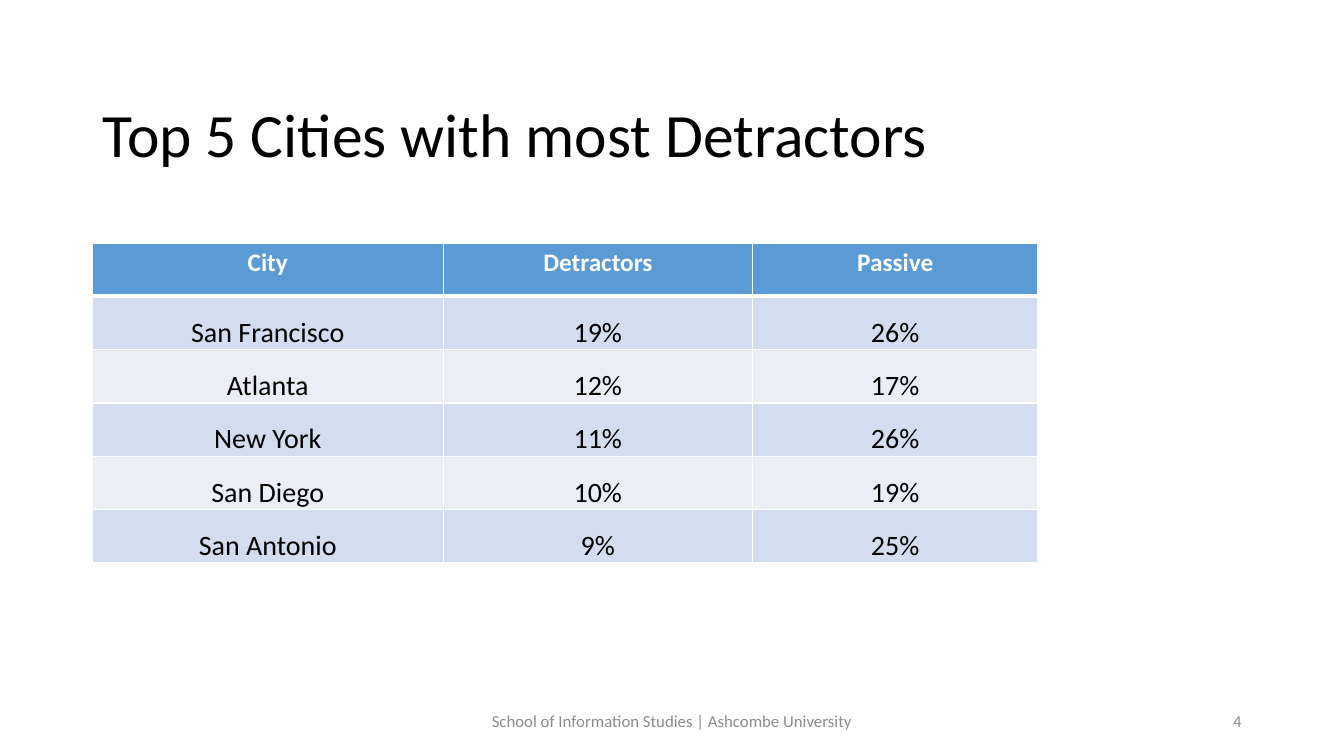
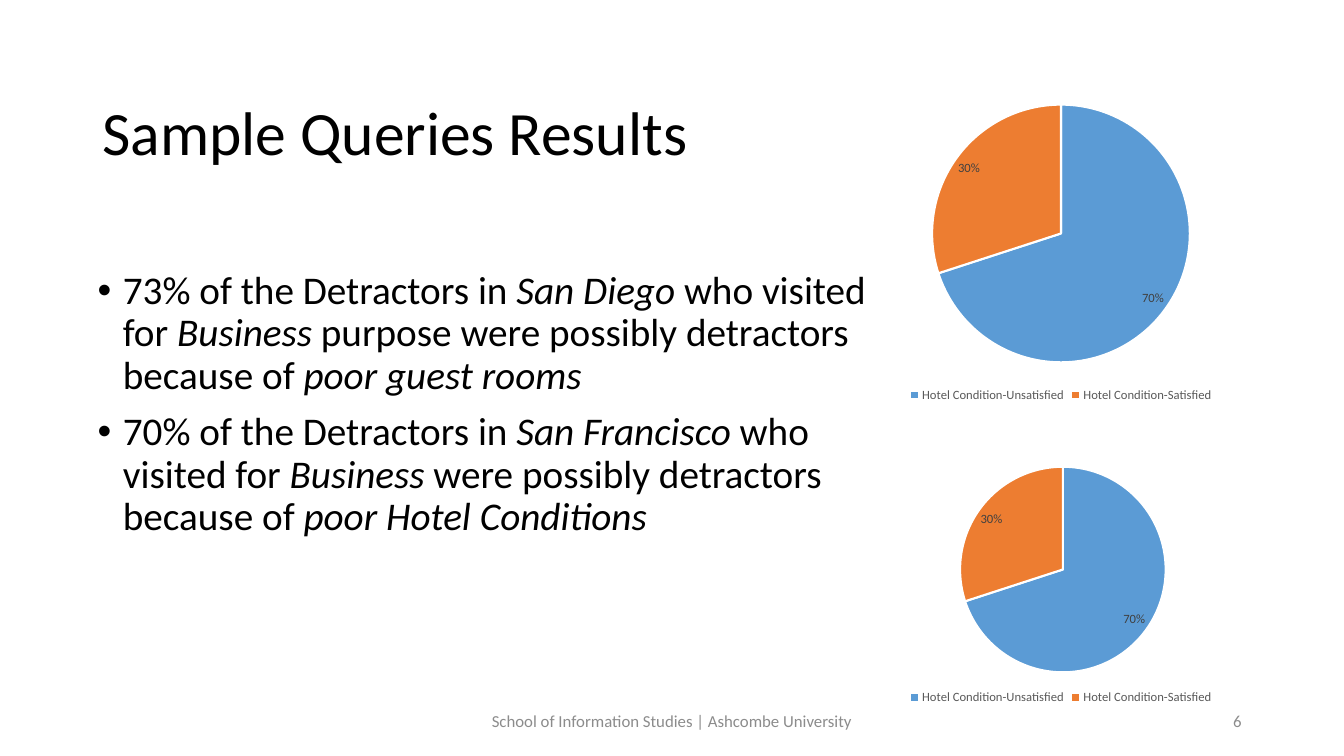
import pptx
import pptx.chart.data
import pptx.dml.color
import pptx.enum.chart
import pptx.enum.text
import pptx.oxml
import pptx.oxml.ns
import pptx.util

Pt = pptx.util.Pt
ALIGN = pptx.enum.text.PP_ALIGN
ANCHOR = pptx.enum.text.MSO_ANCHOR
qn = pptx.oxml.ns.qn

FONT = "Calibri"
COLORS = {
    "text": "000000", "footer": "8C8C8C", "white": "FFFFFF",
    "header": "5B9BD5", "band_dark": "D2DEEF", "band_light": "EAEFF7",
    "unsatisfied": "5B9BD5", "satisfied": "ED7D31",
    "legend": "595959", "label": "404040",
}
FOOTER = "School of Information Studies | Ashcombe University"


def rgb(name):
    return pptx.dml.color.RGBColor.from_string(COLORS[name])


def style_font(font, size, color, bold=None, italic=None):
    font.name, font.size = FONT, Pt(size)
    font.color.rgb = rgb(color)
    font.bold, font.italic = bold, italic


def place(shape, box):
    shape.left, shape.top, shape.width, shape.height = (Pt(v) for v in box)


# Shared parts
def add_title(s, text, box):
    place(s.shapes.title, box)
    tf = s.shapes.title.text_frame
    tf.text = text
    tf.vertical_anchor = ANCHOR.MIDDLE
    tf.auto_size = pptx.enum.text.MSO_AUTO_SIZE.NONE
    p = tf.paragraphs[0]
    p.alignment, p.line_spacing = ALIGN.LEFT, 0.9
    style_font(p.runs[0].font, 44, "text")


def add_footer(s, number):
    for text, left, width, align in ((FOOTER, 318, 324, ALIGN.CENTER),
                                     (number, 678, 216, ALIGN.RIGHT)):
        sp = s.shapes.add_textbox(Pt(left), Pt(500.4), Pt(width), Pt(28.8))
        tf = sp.text_frame
        tf.word_wrap = True
        tf.vertical_anchor = ANCHOR.MIDDLE
        tf.text = text
        p = tf.paragraphs[0]
        p.alignment = align
        style_font(p.runs[0].font, 12, "footer")


def new_slide(prs, layout, title, title_top, number):
    s = prs.slides.add_slide(prs.slide_layouts[layout])
    add_footer(s, number)
    add_title(s, title, (66, title_top, 828, 104.4))
    return s


# Table
def set_borders(cell, widths):
    tcPr = cell._tc.get_or_add_tcPr()
    for side, width in zip("LRTB", widths):
        ln = pptx.oxml.parse_xml(
            f'<a:ln{side} {pptx.oxml.ns.nsdecls("a")} w="{Pt(width)}"><a:solidFill>'
            f'<a:srgbClr val="{COLORS["white"]}"/></a:solidFill></a:ln{side}>')
        tcPr.append(ln)


def fill_cell(cell, text, row):
    header = row == 0
    set_borders(cell, (1, 1, 3 if row == 1 else 1, 3 if header else 1))
    cell.fill.solid()
    cell.fill.fore_color.rgb = rgb(
        "header" if header else "band_dark" if row % 2 else "band_light")
    if not header:
        cell.vertical_anchor = ANCHOR.BOTTOM
        cell.margin_left = cell.margin_right = cell.margin_top = Pt(0.7)
        cell.margin_bottom = Pt(0)
    cell.text_frame.text = text
    p = cell.text_frame.paragraphs[0]
    p.alignment = ALIGN.CENTER
    style_font(p.runs[0].font, 18 if header else 20,
               "white" if header else "text", bold=header)


def add_city_table(s, rows, box, col_shares):
    left, top, width, height = box
    table = s.shapes.add_table(len(rows), len(col_shares), Pt(left), Pt(top),
                               Pt(width), Pt(height)).table
    for col, share in zip(table.columns, col_shares):
        col.width = Pt(width * share / sum(col_shares))
    for i, values in enumerate(rows):
        table.rows[i].height = Pt(height / len(rows))
        for j, text in enumerate(values):
            fill_cell(table.cell(i, j), text, i)


# Bullets: text between asterisks is italic
def add_bullets(s, items, box):
    body = s.placeholders[1]
    place(body, box)
    tf = body.text_frame
    tf.auto_size = pptx.enum.text.MSO_AUTO_SIZE.NONE
    tf.vertical_anchor = ANCHOR.TOP
    tf.margin_top = Pt(44.4)
    for i, item in enumerate(items):
        p = tf.add_paragraph() if i else tf.paragraphs[0]
        p.line_spacing = 0.9
        p.space_before = Pt(10 if i else 0)
        pPr = p._p.get_or_add_pPr()
        pPr.set("marL", str(Pt(18)))
        pPr.set("indent", str(-Pt(18)))
        for tag, key, value in (("buFont", "typeface", "Arial"),
                                ("buChar", "char", "•")):
            pPr.append(pptx.oxml.parse_xml(
                f'<a:{tag} {pptx.oxml.ns.nsdecls("a")} {key}="{value}"/>'))
        for k, part in enumerate(item.split("*")):
            if part:
                r = p.add_run()
                r.text = part
                style_font(r.font, 28, "text", italic=bool(k % 2))


# Pie charts
def set_plot_layout(chart, plot_box):
    plot_area = chart._chartSpace.find(".//" + qn("c:plotArea"))
    for old in plot_area.findall(qn("c:layout")):
        plot_area.remove(old)
    sizes = "".join(f'<c:{tag} val="{v}"/>' for tag, v in zip("xywh", plot_box))
    plot_area.insert(0, pptx.oxml.parse_xml(
        f'<c:layout {pptx.oxml.ns.nsdecls("c")}><c:manualLayout>'
        '<c:layoutTarget val="inner"/><c:xMode val="edge"/><c:yMode val="edge"/>'
        f'{sizes}</c:manualLayout></c:layout>'))


def add_pie(s, box, plot_box=None):
    data = pptx.chart.data.CategoryChartData(number_format="0%")
    data.categories = ["Hotel Condition-Unsatisfied", "Hotel Condition-Satisfied"]
    data.add_series("Series 1", (0.7, 0.3))
    chart = s.shapes.add_chart(pptx.enum.chart.XL_CHART_TYPE.PIE,
                               *(Pt(v) for v in box), data).chart
    style_font(chart.font, 10, "text")
    chart.has_title = False
    chart.has_legend = True
    chart.legend.position = pptx.enum.chart.XL_LEGEND_POSITION.BOTTOM
    chart.legend.include_in_layout = False
    style_font(chart.legend.font, 9, "legend")

    plot = chart.plots[0]
    plot.vary_by_categories = True
    for i, color in enumerate(("unsatisfied", "satisfied")):
        fmt = plot.series[0].points[i].format
        fmt.fill.solid()
        fmt.fill.fore_color.rgb = rgb(color)
        fmt.line.color.rgb = rgb("white")
        fmt.line.width = Pt(1.5)
    labels = plot.series[0].data_labels
    labels.show_value = True
    labels.number_format, labels.number_format_is_linked = "0%", False
    labels.position = pptx.enum.chart.XL_LABEL_POSITION.BEST_FIT
    style_font(labels.font, 9, "label")
    if plot_box:
        set_plot_layout(chart, plot_box)


# Slides
def build_cities(prs):
    s = new_slide(prs, 5, "Top 5 Cities with most Detractors", 46, "4")
    rows = [
        ("City", "Detractors", "Passive"),
        ("San Francisco", "19%", "26%"),
        ("Atlanta", "12%", "17%"),
        ("New York", "11%", "26%"),
        ("San Diego", "10%", "19%"),
        ("San Antonio", "9%", "25%"),
    ]
    add_city_table(s, rows, (66, 173.5, 675.4, 228.6), (3.48, 3.07, 2.83))


def build_queries(prs):
    s = new_slide(prs, 1, "Sample Queries Results", 44.6, "6")
    add_bullets(s, [
        "73% of the Detractors in *San Diego *who visited for *Business *"
        "purpose were possibly detractors because of *poor guest rooms*",
        "70% of the Detractors in *San Francisco *who visited for *Business *"
        "were possibly detractors because of *poor Hotel Conditions*",
    ], (62.6, 149, 566, 314))
    add_pie(s, (621.4, 64.8, 272.9, 225.4))
    add_pie(s, (621.4, 290.2, 272.9, 216), (0.11, 0.2, 0.79, 0.68))


def main():
    prs = pptx.Presentation()
    prs.slide_width, prs.slide_height = Pt(960), Pt(540)
    build_cities(prs)
    build_queries(prs)
    prs.save("out.pptx")


if __name__ == "__main__":
    main()
